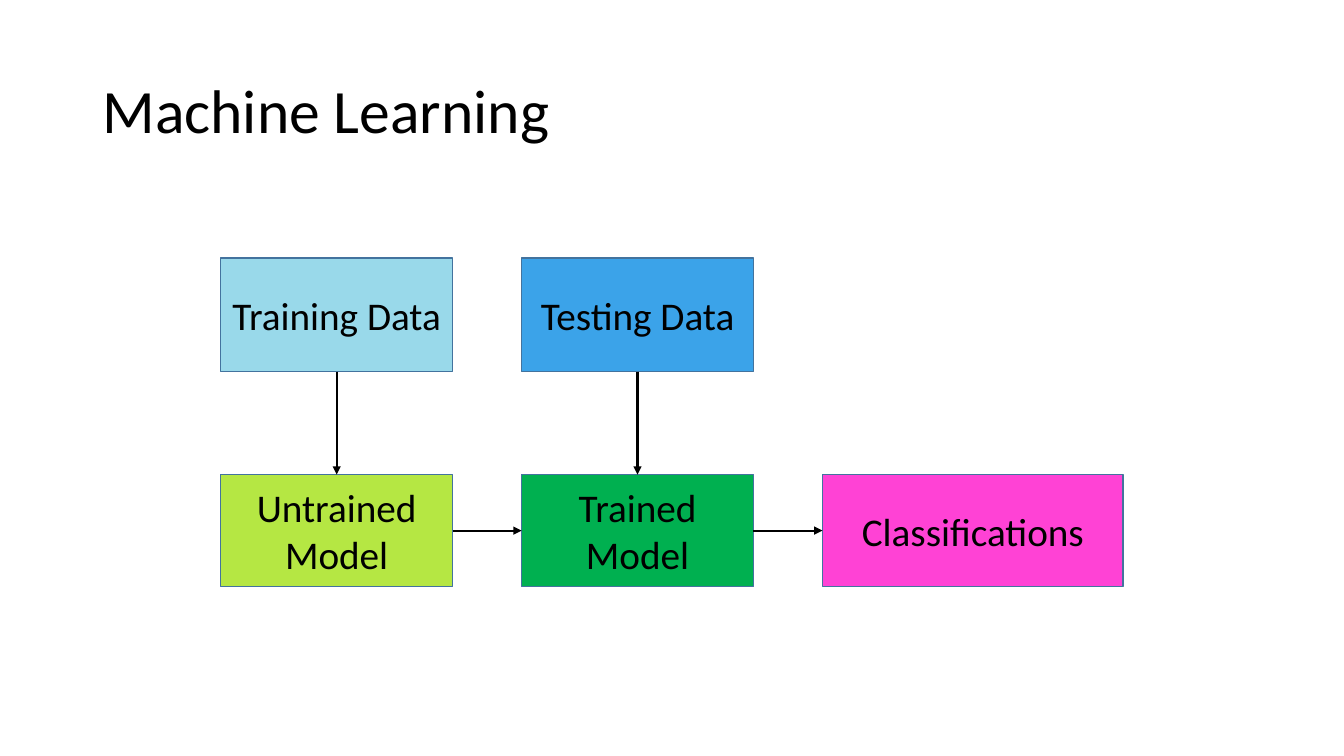
from lxml import etree
from pptx import Presentation
from pptx.dml.color import RGBColor
from pptx.enum.shapes import MSO_CONNECTOR, MSO_SHAPE
from pptx.enum.text import MSO_ANCHOR, MSO_AUTO_SIZE, PP_ALIGN
from pptx.oxml.ns import qn
from pptx.util import Pt

RECT, LINE = MSO_SHAPE.RECTANGLE, MSO_CONNECTOR.STRAIGHT
MIDDLE, FIXED = MSO_ANCHOR.MIDDLE, MSO_AUTO_SIZE.NONE
LEFT, CENTER = PP_ALIGN.LEFT, PP_ALIGN.CENTER
TOP, WEST, BOTTOM, EAST = range(4)  # connection sites of a rectangle

FRAME = {"word_wrap": True, "auto_size": FIXED, "vertical_anchor": MIDDLE}
HEAD = {"alignment": LEFT, "line_spacing": 0.9}
LABEL = {"alignment": CENTER}

# name: (text, column, row, width, fill, opacity in percent)
NODES = {
    "untrained": ("Untrained Model", 0, 1, 165.6, "B5E743", 100),
    "trained": ("Trained Model", 1, 1, 165.6, "00B050", 100),
    "classes": ("Classifications", 2, 1, 214.8, "FF04C8", 75),
    "testing": ("Testing Data", 1, 0, 165.6, "3BA3E9", 100),
    "training": ("Training Data", 0, 0, 165.6, "99D9EA", 100),
}
LINKS = [
    ("untrained", EAST, "trained", WEST),
    ("trained", EAST, "classes", WEST),
    ("training", BOTTOM, "untrained", TOP),
    ("testing", BOTTOM, "trained", TOP),
]
PITCH = 214.9
ROWS = [(0, 81.2), (154.7, 80)]  # offset and height of each row


def paint(target, color):
    """Give a font, line or fill format a solid hex colour."""
    if hasattr(target, "solid"):
        target.solid()
        target.fore_color.rgb = RGBColor.from_string(color)
    elif hasattr(target, "fill"):
        paint(target.fill, color)


def style(item, values):
    """Set every attribute in a dict of format values."""
    for key, value in values.items():
        setattr(item, key, value)


def write(shape, text, size, form):
    """Put one formatted paragraph of text into a shape."""
    frame = shape.text_frame
    style(frame, FRAME)
    para = frame.paragraphs[0]
    style(para, form)
    run = para.add_run()
    run.text = text
    style(run.font, {"name": "Calibri", "size": Pt(size)})
    paint(run.font, "000000")


def title(slide, box, text):
    """Move the title placeholder to its box and fill it."""
    shape = slide.shapes.title
    style(shape, dict(zip(("left", "top", "width", "height"), map(Pt, box))))
    write(shape, text, 44, HEAD)


def node(slide, box, text, color, opaque):
    """Draw one labelled rectangle of the flow."""
    shape = slide.shapes.add_shape(RECT, *map(Pt, box))
    shape.shadow.inherit = False
    paint(shape.fill, color)
    if opaque < 100:
        tone = shape.fill._xPr.find(qn("a:solidFill"))[0]
        etree.SubElement(tone, qn("a:alpha"), val=str(opaque * 1000))
    paint(shape.line, "43739E")
    shape.line.width = Pt(1)
    write(shape, text, 28, LABEL)
    return shape


def arrow(slide, start, exit, end, entry):
    """Join two rectangles with an arrow glued to their sites."""
    link = slide.shapes.add_connector(LINE, 0, 0, 0, 0)
    link.begin_connect(start, exit)
    link.end_connect(end, entry)
    paint(link.line, "000000")
    link.line.width = Pt(1.5)
    etree.SubElement(link.line._get_or_add_ln(), qn("a:tailEnd"), type="triangle")
    etree.SubElement(link._element.spPr, qn("a:effectLst"))


def flow(slide, left, top):
    """Lay out the diagram from its top left corner."""
    made = {}
    for name, (text, col, row, width, color, opaque) in NODES.items():
        drop, height = ROWS[row]
        box = (left + col * PITCH, top + drop, width, height)
        made[name] = node(slide, box, text, color, opaque)
    for start, exit, end, entry in LINKS:
        arrow(slide, made[start], exit, made[end], entry)


def main():
    """Build and save the slide."""
    deck = Presentation()
    style(deck, {"slide_width": Pt(960), "slide_height": Pt(540)})
    slide = deck.slides.add_slide(deck.slide_layouts[5])
    title(slide, (66, 28.8, 828, 104.4), "Machine Learning")
    flow(slide, 157.7, 184.3)
    deck.save("out.pptx")


main()
